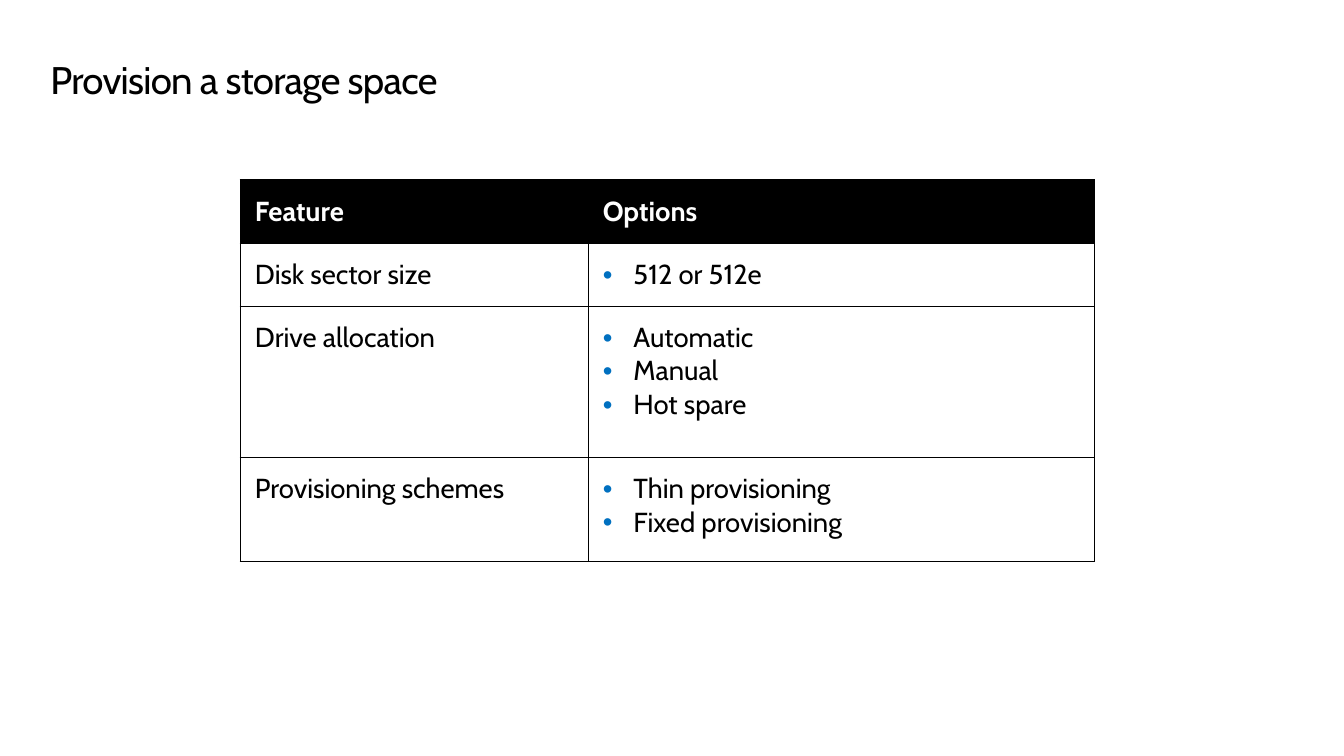
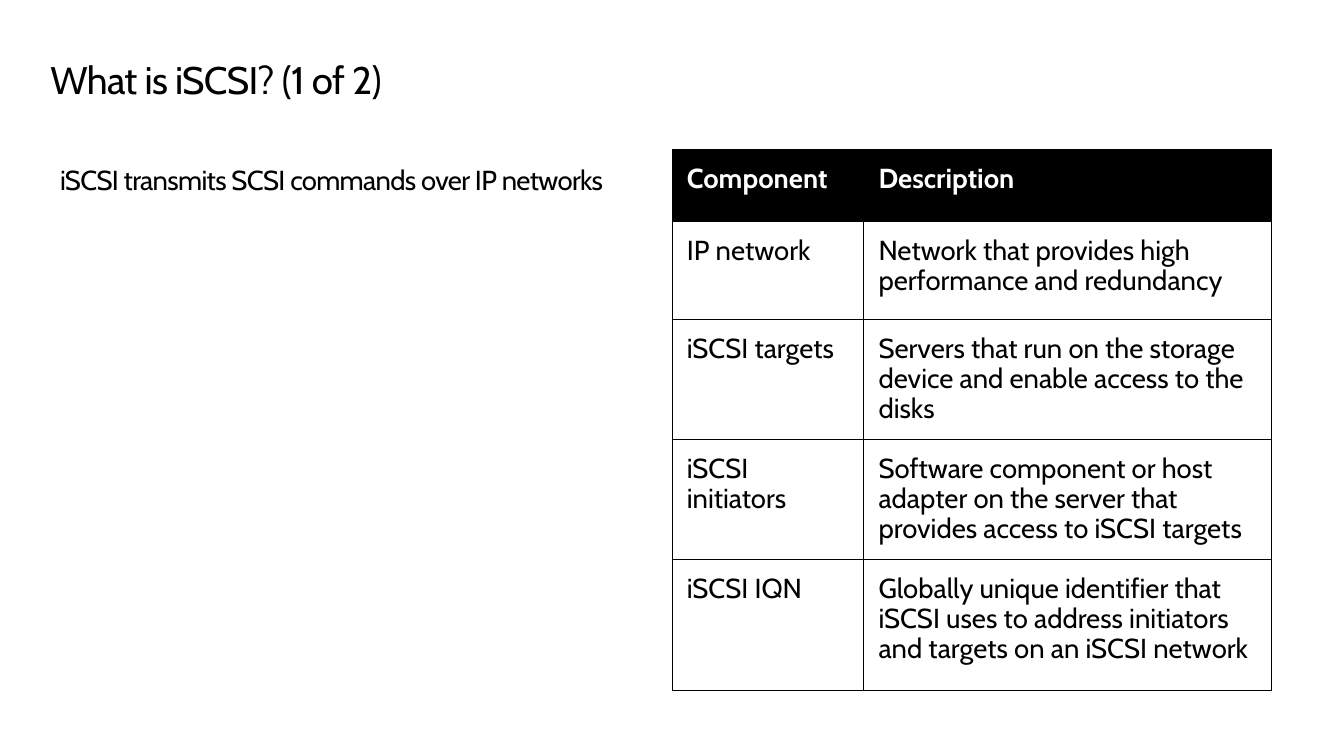
import dataclasses

import pptx
import pptx.dml.color
import pptx.enum.text
import pptx.oxml.ns
import pptx.util
from lxml import etree

Inches = pptx.util.Inches
Pt = pptx.util.Pt
qn = pptx.oxml.ns.qn


@dataclasses.dataclass(frozen=True)
class Theme:
    font: str = "Cabin"
    ink: str = "000000"
    paper: str = "FFFFFF"
    bullet: str = "0070C0"
    title_size: float = 28
    body_size: float = 20
    tracking: float = -0.5
    border: float = 0.75
    tight: float = 0.9
    cell_margin: float = 0.15
    bullet_indent: float = 0.31


class SlideWriter:
    """Holds the style and the slide being built."""

    def __init__(self, deck, theme):
        self.deck = deck
        self.theme = theme
        self.page = None

    def format_runs(self, para, size, colour, bold=False, tracking=0):
        for span in para.runs:
            span.font.name = self.theme.font
            span.font.size = Pt(size)
            span.font.bold = bold
            span.font.color.rgb = pptx.dml.color.RGBColor.from_string(colour)
            if tracking:
                span._r.get_or_add_rPr().set("spc", str(round(tracking * 100)))

    def new_page(self, title):
        self.page = self.deck.slides.add_slide(self.deck.slide_layouts[5])
        box = self.page.shapes.title
        box.left, box.top = Inches(0.51), Inches(0.62)
        box.width, box.height = Inches(12.61), Inches(0.45)
        frame = box.text_frame
        frame.text = title
        frame.margin_left = frame.margin_top = frame.margin_bottom = 0
        frame.auto_size = pptx.enum.text.MSO_AUTO_SIZE.NONE
        frame.vertical_anchor = pptx.enum.text.MSO_ANCHOR.TOP
        para = frame.paragraphs[0]
        para.alignment = pptx.enum.text.PP_ALIGN.LEFT
        para.line_spacing = self.theme.tight
        self.format_runs(para, self.theme.title_size, self.theme.ink,
                         tracking=self.theme.tracking)

    def text(self, left, top, width, height, words):
        box = self.page.shapes.add_textbox(
            Inches(left), Inches(top), Inches(width), Inches(height))
        box.text_frame.word_wrap = True
        box.text_frame.text = words
        self.format_runs(box.text_frame.paragraphs[0], self.theme.body_size,
                         self.theme.ink, tracking=self.theme.tracking)

    def table(self, left, top, widths, heights, rows, line_spacing=1.0):
        """A list in place of a string makes a bulleted cell."""
        table = self.page.shapes.add_table(
            len(rows), len(widths), Inches(left), Inches(top),
            Inches(sum(widths)), Inches(sum(heights))).table
        table.horz_banding = False
        for column, width in zip(table.columns, widths):
            column.width = Inches(width)
        for row, height in zip(table.rows, heights):
            row.height = Inches(height)
        for row_number, row in enumerate(rows):
            for column_number, content in enumerate(row):
                self.fill_cell(table.cell(row_number, column_number), content,
                               row_number == 0, line_spacing)

    def fill_cell(self, cell, content, is_header, line_spacing):
        bulleted = isinstance(content, list)
        cell.text = "\n".join(content) if bulleted else content
        margin = Inches(self.theme.cell_margin)
        cell.margin_left = cell.margin_right = margin
        cell.margin_top = cell.margin_bottom = margin
        self.add_borders(cell)
        if is_header:
            cell.fill.solid()
            cell.fill.fore_color.rgb = pptx.dml.color.RGBColor.from_string(
                self.theme.ink)
        else:
            cell.fill.background()
        colour = self.theme.paper if is_header else self.theme.ink
        for para in cell.text_frame.paragraphs:
            para.line_spacing = line_spacing
            if bulleted:
                self.add_bullet(para)
            self.format_runs(para, self.theme.body_size, colour, is_header)

    def add_borders(self, cell):
        properties = cell._tc.get_or_add_tcPr()
        for side in ("a:lnL", "a:lnR", "a:lnT", "a:lnB"):
            line = etree.SubElement(properties, qn(side),
                                    w=str(Pt(self.theme.border)))
            fill = etree.SubElement(line, qn("a:solidFill"))
            etree.SubElement(fill, qn("a:srgbClr"), val=self.theme.ink)

    def add_bullet(self, para):
        properties = para._p.get_or_add_pPr()
        indent = Inches(self.theme.bullet_indent)
        properties.set("marL", str(indent))
        properties.set("indent", str(-indent))
        colour = etree.SubElement(properties, qn("a:buClr"))
        etree.SubElement(colour, qn("a:srgbClr"), val=self.theme.bullet)
        etree.SubElement(properties, qn("a:buFont"), typeface="Arial")
        etree.SubElement(properties, qn("a:buChar"), char="•")


def main():
    deck = pptx.Presentation()
    deck.slide_width, deck.slide_height = Inches(13.6), Inches(7.65)
    theme = Theme()
    writer = SlideWriter(deck, theme)

    # Storage space options
    writer.new_page("Provision a storage space")
    writer.table(2.43, 1.82, [3.52, 5.13], [0.58, 0.58, 1.53, 1.05], [
        ["Feature", "Options"],
        ["Disk sector size", ["512 or 512e"]],
        ["Drive allocation", ["Automatic", "Manual", "Hot spare"]],
        ["Provisioning schemes", ["Thin provisioning", "Fixed provisioning"]],
    ])

    # iSCSI components
    writer.new_page("What is iSCSI? (1 of 2)")
    writer.table(6.8, 1.51, [1.94, 4.13], [0.73, 0.99, 1.2, 1.2, 1.33], [
        ["Component", "Description"],
        ["IP network", "Network that provides high performance and redundancy"],
        ["iSCSI targets", "Servers that run on the storage device and enable "
                          "access to the disks"],
        ["iSCSI initiators", "Software component or host adapter on the server "
                             "that provides access to iSCSI targets"],
        ["iSCSI IQN", "Globally unique identifier that iSCSI uses to address "
                      "initiators and targets on an iSCSI network"],
    ], line_spacing=theme.tight)
    writer.text(0.51, 1.6, 12.62, 5.56,
                "iSCSI transmits SCSI commands over IP networks")

    deck.save("out.pptx")


if __name__ == "__main__":
    main()
